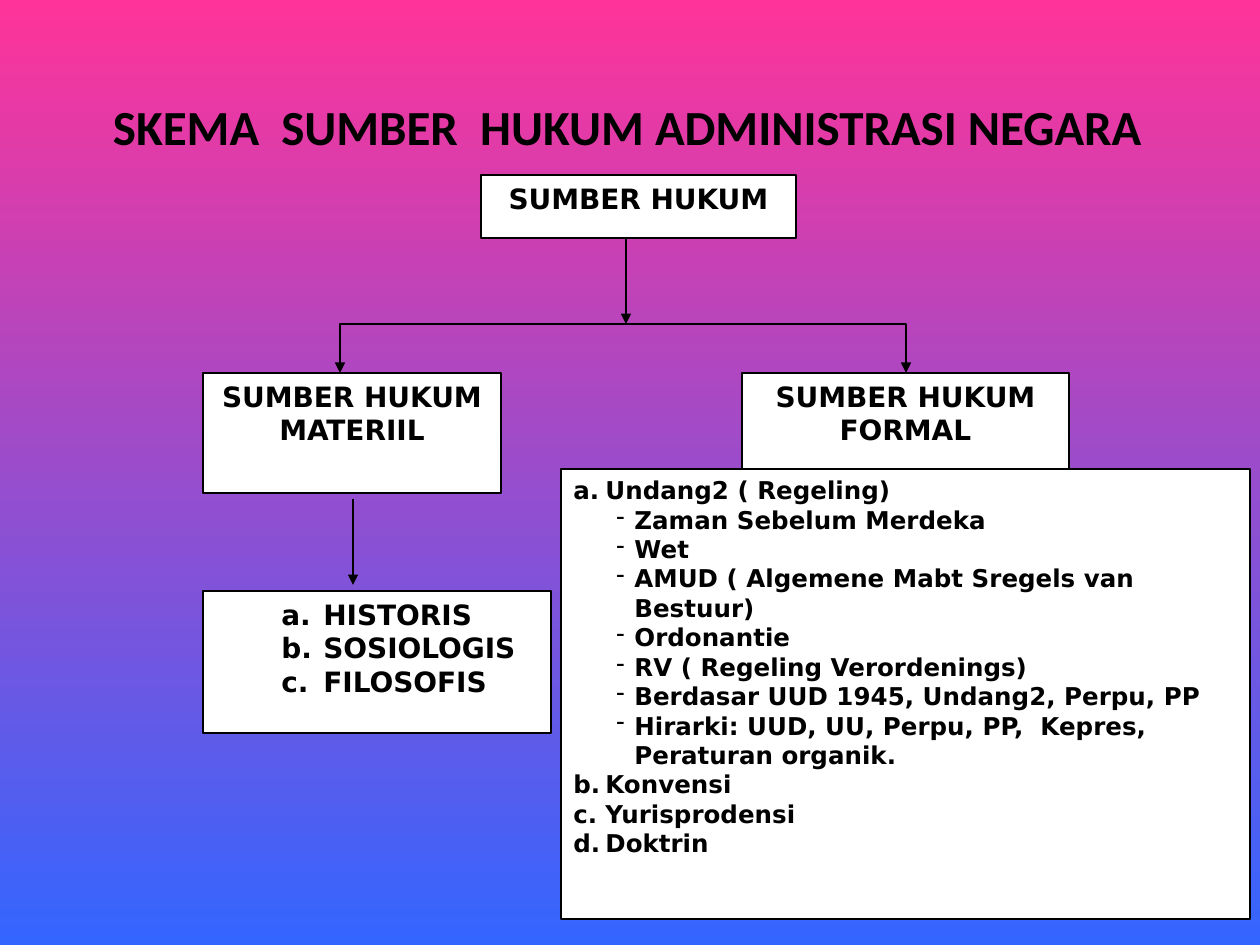
from lxml import etree
from pptx import Presentation
from pptx.dml.color import RGBColor
from pptx.enum.shapes import MSO_CONNECTOR, MSO_SHAPE
from pptx.enum.text import MSO_ANCHOR, PP_ALIGN
from pptx.oxml.ns import qn
from pptx.util import Pt

RECTANGLE = MSO_SHAPE.RECTANGLE
STRAIGHT = MSO_CONNECTOR.STRAIGHT
TOP, MIDDLE = MSO_ANCHOR.TOP, MSO_ANCHOR.MIDDLE
LEFT, CENTER = PP_ALIGN.LEFT, PP_ALIGN.CENTER
EMU_PER_PX = 914400 / 126
TITLE_FONT, BOX_FONT = "Calibri", "DejaVu Sans"
COLORS = {"top": "FF3399", "bottom": "3366FF", "box": "FFFFFF", "ink": "000000"}

HEADINGS = [
    ("SUMBER HUKUM", (481, 175, 315, 63)),
    ("SUMBER HUKUM MATERIIL", (203, 373, 298, 120)),
    ("SUMBER HUKUM FORMAL", (742, 373, 327, 96)),
]
MATERIAL_SOURCES = ["HISTORIS", "SOSIOLOGIS", "FILOSOFIS"]
FORMAL_SOURCES = [
    ("Undang2 ( Regeling)", [
        "Zaman Sebelum Merdeka",
        "Wet",
        "AMUD ( Algemene Mabt Sregels van Bestuur)",
        "Ordonantie",
        "RV ( Regeling Verordenings)",
        "Berdasar UUD 1945, Undang2, Perpu, PP",
        "Hirarki: UUD, UU, Perpu, PP,  Kepres, Peraturan organik.",
    ]),
    ("Konvensi", []),
    ("Yurisprodensi", []),
    ("Doktrin", []),
]


def px(value):
    return round(value * EMU_PER_PX)


def color(name):
    return RGBColor.from_string(COLORS[name])


def write_text(paragraph, text, size=16, font=BOX_FONT, align=LEFT):
    paragraph.text = text
    paragraph.alignment = align
    paragraph.font.name = font
    paragraph.font.size = Pt(size)
    paragraph.font.bold = True
    paragraph.font.color.rgb = color("ink")


def set_bullet(paragraph, margin, hanging, number=None):
    properties = paragraph._p.get_or_add_pPr()
    properties.set("marL", str(px(margin)))
    properties.set("indent", str(px(-hanging)))
    if number:
        bullet = etree.SubElement(properties, qn("a:buAutoNum"))
        bullet.set("type", "alphaLcPeriod")
        bullet.set("startAt", str(number))
    else:
        etree.SubElement(properties, qn("a:buChar")).set("char", "-")


def style_line(shape, arrow_ends=()):
    shape.line.color.rgb = color("ink")
    shape.line.width = Pt(0.75)
    line = shape.line._get_or_add_ln()
    for end in arrow_ends:
        etree.SubElement(line, qn(f"a:{end}")).set("type", "triangle")


def add_box(slide, bounds):
    shape = slide.shapes.add_shape(RECTANGLE, *map(px, bounds))
    shape.shadow.inherit = False
    shape.fill.solid()
    shape.fill.fore_color.rgb = color("box")
    style_line(shape)
    shape.text_frame.word_wrap = True
    shape.text_frame.vertical_anchor = TOP
    return shape


def add_heading(slide, text, bounds):
    shape = add_box(slide, bounds)
    write_text(shape.text_frame.paragraphs[0], text, align=CENTER)


def add_list(slide, bounds, items, size):
    frame = add_box(slide, bounds).text_frame
    for index, (text, bullet) in enumerate(items):
        paragraph = frame.add_paragraph() if index else frame.paragraphs[0]
        set_bullet(paragraph, *bullet)
        write_text(paragraph, text, size=size)


def add_arrow(slide, x, top, bottom):
    connector = slide.shapes.add_connector(
        STRAIGHT, px(x), px(top), px(x), px(bottom))
    style_line(connector, ["tailEnd"])
    etree.SubElement(connector._element.spPr, qn("a:effectLst"))


def add_fork(slide, left, right, top, bottom):
    builder = slide.shapes.build_freeform(left, bottom, scale=EMU_PER_PX)
    builder.add_line_segments(
        [(left, top), (right, top), (right, bottom)], close=False)
    shape = builder.convert_to_shape()
    shape.shadow.inherit = False
    shape.fill.background()
    style_line(shape, ["headEnd", "tailEnd"])


def set_background(slide):
    fill = slide.background.fill
    fill.gradient()
    fill.gradient_angle = 270
    for stop, name, position in zip(fill.gradient_stops, ("top", "bottom"), (0, 1)):
        stop.color.rgb = color(name)
        stop.position = position


def set_title(slide, text, bounds):
    title = slide.shapes.title
    title.left, title.top, title.width, title.height = map(px, bounds)
    title.text_frame.vertical_anchor = MIDDLE
    write_text(title.text_frame.paragraphs[0], text,
               size=28, font=TITLE_FONT, align=CENTER)


def formal_items():
    items = []
    for number, (source, details) in enumerate(FORMAL_SOURCES, 1):
        items.append((source, (32, 32, number)))
        items.extend((detail, (61, 18)) for detail in details)
    return items


def main():
    presentation = Presentation()
    presentation.slide_width, presentation.slide_height = px(1260), px(945)
    slide = presentation.slides.add_slide(presentation.slide_layouts[5])
    set_background(slide)
    set_title(slide, "SKEMA  SUMBER  HUKUM ADMINISTRASI NEGARA", (63, 53, 1128, 145))
    for text, bounds in HEADINGS:
        add_heading(slide, text, bounds)
    material_items = [(text, (108, 42, number))
                      for number, text in enumerate(MATERIAL_SOURCES, 1)]
    add_list(slide, (203, 591, 348, 142), material_items, 16)
    add_list(slide, (561, 469, 689, 450), formal_items(), 14)
    add_fork(slide, 340, 906, 324, 373)
    add_arrow(slide, 626, 238, 324)
    add_arrow(slide, 353, 499, 585)
    presentation.save("out.pptx")


if __name__ == "__main__":
    main()
